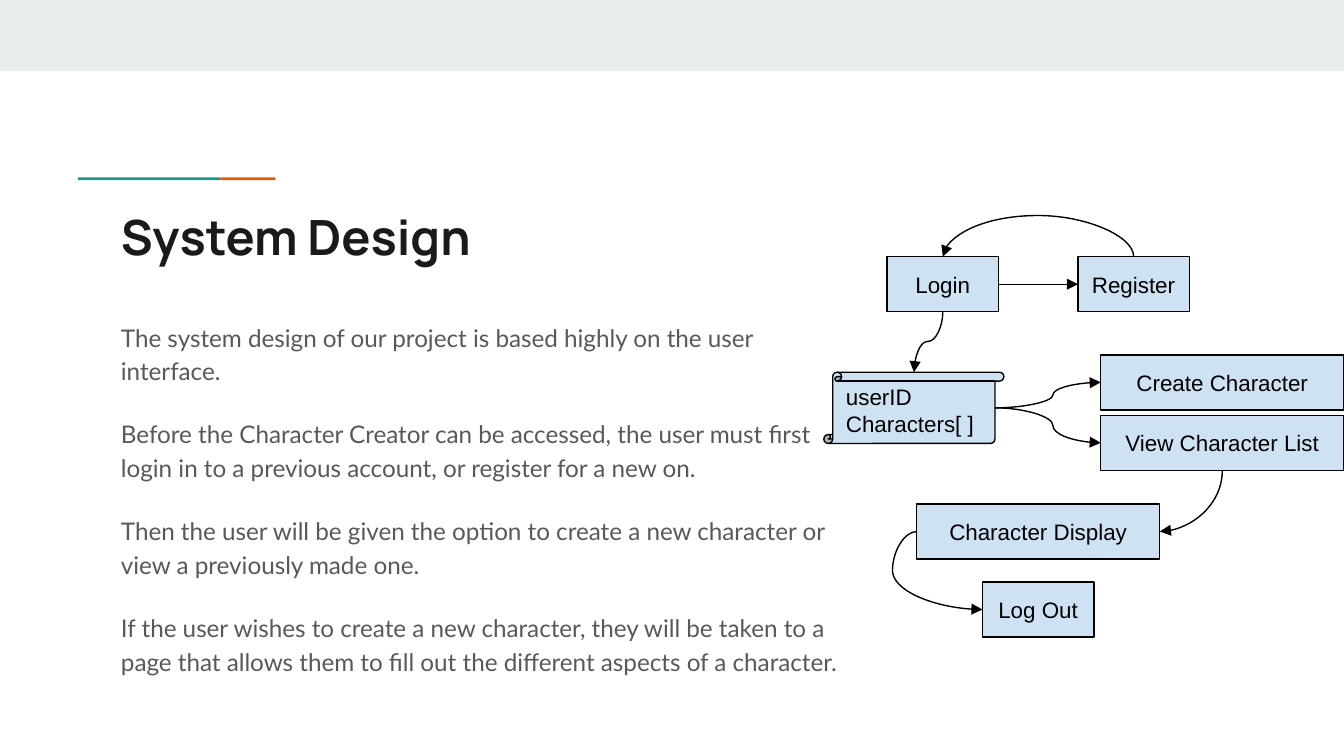
from pptx import Presentation
from pptx.dml.color import RGBColor
from pptx.enum.shapes import MSO_CONNECTOR as Link, MSO_SHAPE as Kind
from pptx.enum.text import MSO_ANCHOR as Anchor, MSO_AUTO_SIZE as Fit, PP_ALIGN as Align
from pptx.oxml.ns import qn
from pptx.util import Inches, Pt
from lxml.etree import SubElement

TOP, LEFT, BOTTOM, RIGHT = range(4)
BLACK, BLUE = "000000", "CFE2F3"
SMALL, WIDE = 0.83, 1.81
BOX_HEIGHT = 0.41
SCROLL_RATIO = 0.125
PARAGRAPHS = [
    "The system design of our project is based highly on the user interface.",
    "Before the Character Creator can be accessed, the user must first login in to a "
    "previous account, or register for a new on.",
    "Then the user will be given the option to create a new character or view a "
    "previously made one.",
    "If the user wishes to create a new character, they will be taken to a page that "
    "allows them to fill out the different aspects of a character.",
]
STEPS = {
    "Login": (6.6, 1.91, SMALL),
    "Register": (8.02, 1.91, SMALL),
    "Create Character": (8.19, 2.64, WIDE),
    "View Character List": (8.19, 3.09, WIDE),
    "Character Display": (6.82, 3.75, WIDE),
    "Log Out": (7.31, 4.33, SMALL),
}
RECORD = "userID\nCharacters[ ]"
ARROWS = [
    ("Login", RIGHT, "Register", LEFT, 0.3),
    ("Register", TOP, "Login", TOP, -0.27),
    ("Login", BOTTOM, RECORD, TOP, 0.22),
    (RECORD, RIGHT, "Create Character", LEFT, 0.43),
    (RECORD, RIGHT, "View Character List", LEFT, 0.43),
    ("View Character List", BOTTOM, "Character Display", RIGHT, None),
    ("Character Display", LEFT, "Log Out", LEFT, -0.18),
]


def color(value):
    """Turn a hex string into a colour."""
    return RGBColor.from_string(value)


def assign(target, values):
    """Set several attributes on one object."""
    for name, value in values.items():
        setattr(target, name, value)


def write(shape, texts, font, size, shade, frame_format, para_format, bold=False):
    """Fill a shape with evenly formatted paragraphs."""
    frame = shape.text_frame
    insets = {f"margin_{side}": Inches(0.1) for side in ("left", "top", "right", "bottom")}
    assign(frame, {"word_wrap": True, "auto_size": Fit.NONE, **insets, **frame_format})
    for index, text in enumerate(texts):
        para = frame.paragraphs[0] if index == 0 else frame.add_paragraph()
        assign(para, para_format)
        span = para.add_run()
        span.text = text
        assign(span.font, {"name": font, "size": Pt(size), "bold": bold})
        span.font.color.rgb = color(shade)
    return frame


def place(shape, left, top, width, height):
    """Position a shape in inches."""
    assign(shape, {"left": Inches(left), "top": Inches(top),
                   "width": Inches(width), "height": Inches(height)})


def add_box(page, kind, bounds, fill, outlined=False):
    """Add a filled preset shape."""
    box = page.shapes.add_shape(kind, *map(Inches, bounds))
    box.shadow.inherit = False
    box.fill.solid()
    box.fill.fore_color.rgb = color(fill)
    if outlined:
        box.line.color.rgb = color(BLACK)
        box.line.width = Pt(0.75)
    else:
        box.line.fill.background()
    return box


def add_step(page, text, kind, bounds, align):
    """Add a labelled element of the flow chart."""
    box = add_box(page, kind, bounds, BLUE, outlined=True)
    write(box, text.split("\n"), "Arial", 12, BLACK,
          {"vertical_anchor": Anchor.MIDDLE}, {"alignment": align})
    return box


def joint(box, side):
    """Return the connection point on one side of a box."""
    is_scroll = box.auto_shape_type == Kind.VERTICAL_SCROLL
    inset = int(box.height * SCROLL_RATIO) if is_scroll else 0
    middle_x, middle_y = box.left + box.width // 2, box.top + box.height // 2
    return {
        TOP: (middle_x, box.top),
        LEFT: (box.left + inset, middle_y),
        BOTTOM: (middle_x, box.top + box.height),
        RIGHT: (box.left + box.width - inset, middle_y),
    }[side]


def add_arrow(page, source, source_side, target, target_side, bend):
    """Join two boxes with a curved arrow that turns at the bend distance."""
    start, end = joint(source, source_side), joint(target, target_side)
    arrow = page.shapes.add_connector(Link.CURVE, *start, *end)
    arrow.begin_connect(source, source_side)
    arrow.end_connect(target, target_side)
    across, down = abs(end[0] - start[0]), abs(end[1] - start[1])
    left, top = min(start[0], end[0]), min(start[1], end[1])
    properties = arrow._element.spPr
    length = across
    if source_side in (TOP, BOTTOM):
        length = max(down, Pt(0.05))
        left, top = left + (across - length) // 2, top + (down - across) // 2
        across, down = length, across
        frame = properties.find(qn("a:xfrm"))
        for flip in ("flipH", "flipV"):
            frame.attrib.pop(flip, None)
        frame.set("rot", str(90 * 60000))
    assign(arrow, {"left": left, "top": top, "width": across, "height": down})
    geometry = properties.find(qn("a:prstGeom"))
    if bend is None:
        geometry.set("prst", "curvedConnector2")
    else:
        guides = geometry.find(qn("a:avLst"))
        if guides is None:
            guides = SubElement(geometry, qn("a:avLst"))
        ratio = round(Inches(bend) / length * 100000)
        SubElement(guides, qn("a:gd"), name="adj1", fmla=f"val {ratio}")
    arrow.line.color.rgb = color(BLACK)
    arrow.line.width = Pt(0.75)
    SubElement(arrow.line._get_or_add_ln(), qn("a:tailEnd"), type="triangle")
    SubElement(properties, qn("a:effectLst"))


def add_texts(page):
    """Fill the title and body placeholders."""
    title, body = page.shapes.title, page.placeholders[1]
    place(title, 0.8, 1.44, 8.41, 0.59)
    place(body, 0.8, 2.27, 5.54, 2.92)
    top = {"vertical_anchor": Anchor.TOP}
    write(title, ["System Design"], "Manrope", 26, "1A1A1A", top,
          {"alignment": Align.LEFT}, bold=True)
    frame = write(body, PARAGRAPHS, "Lato", 13, "595959", top,
                  {"line_spacing": 1.15, "space_before": Pt(16)})
    frame.paragraphs[0].space_before = Pt(0)
    frame.paragraphs[-1].space_after = Pt(16)
    for para in frame.paragraphs:
        settings = para._p.get_or_add_pPr()
        settings.set("marL", "0")
        settings.set("indent", "0")
        SubElement(settings, qn("a:buNone"))


def main():
    """Build the system design slide."""
    deck = Presentation()
    width = Inches(10)
    assign(deck, {"slide_width": width, "slide_height": width * 9 // 16})
    page = deck.slides.add_slide(deck.slide_layouts[1])
    add_box(page, Kind.RECTANGLE, (0, 0, 10, 0.53), "E9EDEE")
    add_box(page, Kind.RECTANGLE, (0.58, 1.32, 1.06, 0.02), "1A9988")
    add_box(page, Kind.RECTANGLE, (1.64, 1.32, 0.41, 0.02), "EB5600")
    add_texts(page)
    boxes = {
        text: add_step(page, text, Kind.RECTANGLE, (*bounds, BOX_HEIGHT), Align.CENTER)
        for text, bounds in STEPS.items()
    }
    boxes[RECORD] = add_step(page, RECORD, Kind.VERTICAL_SCROLL,
                             (6.13, 2.77, 1.34, 0.53), Align.LEFT)
    for source, source_side, target, target_side, bend in ARROWS:
        add_arrow(page, boxes[source], source_side, boxes[target], target_side, bend)
    deck.save("out.pptx")


if __name__ == "__main__":
    main()
